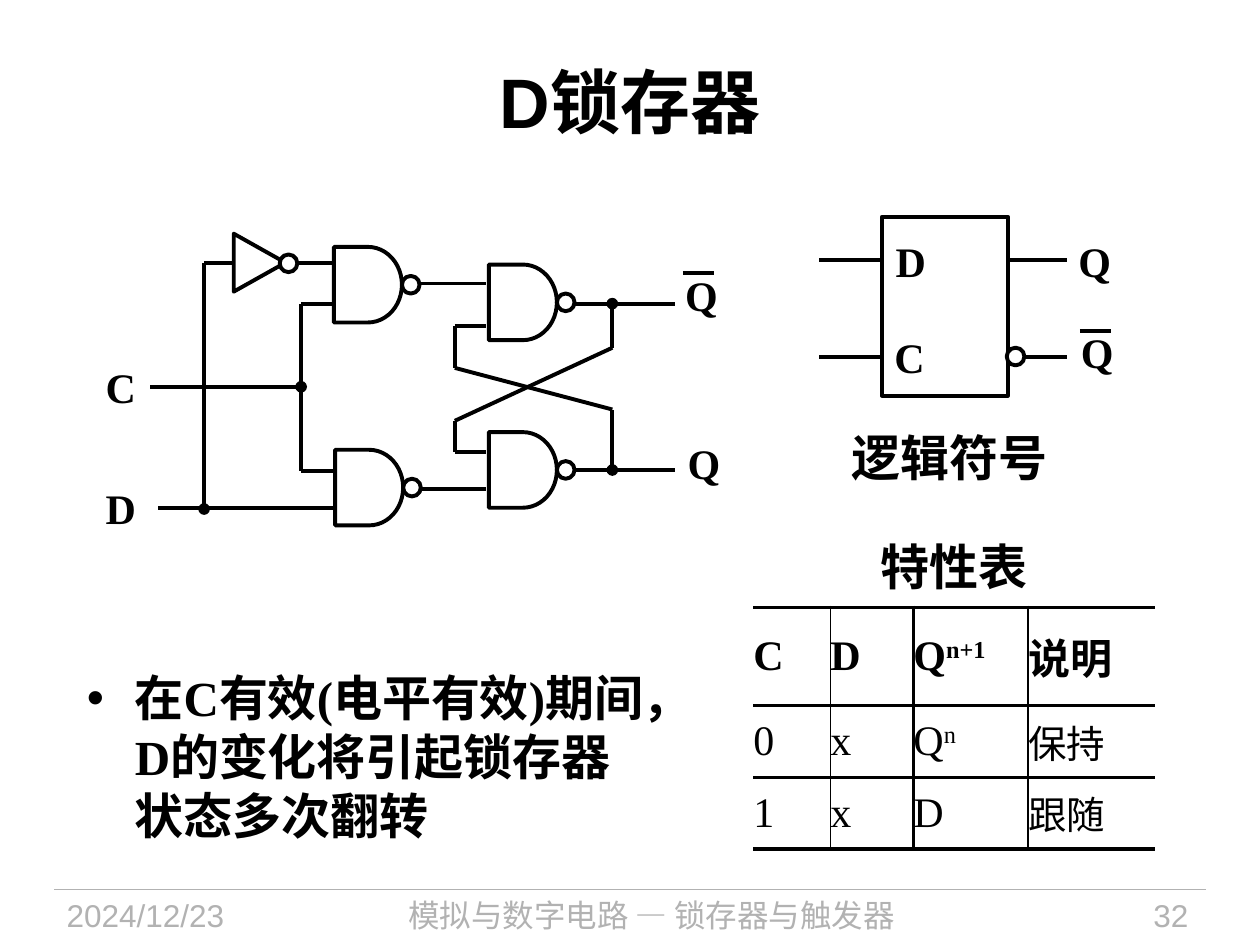
import pptx
import pptx.util
import pptx.dml.color
import pptx.enum.shapes
import pptx.enum.text
import pptx.oxml
import pptx.oxml.ns
from lxml import etree

Inches, Pt = pptx.util.Inches, pptx.util.Pt
Shape = pptx.enum.shapes.MSO_SHAPE
Align = pptx.enum.text.PP_ALIGN
Anchor = pptx.enum.text.MSO_ANCHOR
qn = pptx.oxml.ns.qn


class Theme:
    ink = pptx.dml.color.RGBColor(0, 0, 0)
    gray = pptx.dml.color.RGBColor(0xB2, 0xB2, 0xB2)
    paper = pptx.dml.color.RGBColor(255, 255, 255)
    rule = 2.25
    thin = 1
    bubble = 0.14
    han = "Noto Sans CJK SC"
    title = dict(name="Arial", size=Pt(40), bold=True)
    body = dict(name="Times New Roman", size=Pt(28), bold=True)
    name = dict(name="Arial", size=Pt(28), bold=True)
    label = dict(name="Times New Roman", size=Pt(24), bold=True)
    cell = dict(name="Times New Roman", size=Pt(24), bold=False)
    note = dict(name="Times New Roman", size=Pt(22), bold=False)
    foot = dict(name="Arial", size=Pt(18), bold=False)


# Text
def style(run, form, color=Theme.ink):
    for key, value in form.items():
        setattr(run.font, key, value)
    run.font.color.rgb = color
    latin = run.font._element.find(qn("a:latin"))
    east = etree.Element(qn("a:ea"), typeface=Theme.han)
    latin.addnext(east)


def write(para, text, form, color=Theme.ink):
    run = para.add_run()
    run.text = text
    style(run, form, color)
    return run


def label(host, text, box, form=Theme.label, color=Theme.ink,
          align=Align.LEFT, wrap=False):
    frame = host.add_textbox(*map(Inches, box)).text_frame
    frame.word_wrap = wrap
    para = frame.paragraphs[0]
    para.alignment = align
    write(para, text, form, color)


def fill_holder(holder, text, box, form, anchor, align):
    holder.left, holder.top, holder.width, holder.height = map(Inches, box)
    frame = holder.text_frame
    frame.auto_size = pptx.enum.text.MSO_AUTO_SIZE.NONE
    frame.vertical_anchor = anchor
    para = frame.paragraphs[0]
    para.alignment = align
    para.space_before = Pt(0)
    write(para, text, form)
    return para


# Lines and shapes
def line(host, start, end, color=Theme.ink, width=Theme.rule, dot=False):
    wire = host.add_connector(pptx.enum.shapes.MSO_CONNECTOR.STRAIGHT,
                              *map(Inches, start + end))
    wire.line.color.rgb = color
    wire.line.width = Pt(width)
    if dot:
        etree.SubElement(wire.line._get_or_add_ln(), qn("a:headEnd"), type="oval")
    etree.SubElement(wire._element.spPr, qn("a:effectLst"))


def route(host, *points, dot=False):
    for i, (start, end) in enumerate(zip(points, points[1:])):
        line(host, start, end, dot=dot and i == 0)


def shape(host, kind, box, fill=True):
    item = host.add_shape(kind, *map(Inches, box))
    item.shadow.inherit = False
    if fill:
        item.fill.solid()
        item.fill.fore_color.rgb = Theme.paper
    else:
        item.fill.background()
    item.line.color.rgb = Theme.ink
    item.line.width = Pt(Theme.rule)
    return item


def bubble(host, left, mid):
    size = Theme.bubble
    shape(host, Shape.OVAL, (left, mid - size / 2, size, size))


def gate(host, left, mid):
    wide, high = 0.54, 0.6
    shape(host, Shape.FLOWCHART_DELAY, (left, mid - high / 2, wide, high))
    bubble(host, left + wide, mid)


# Table
def edge(props, side, width):
    rim = etree.SubElement(props, qn("a:" + side), w=str(Pt(width)))
    if width:
        fill = etree.SubElement(rim, qn("a:solidFill"))
        etree.SubElement(fill, qn("a:srgbClr"), val=str(Theme.ink))
    else:
        etree.SubElement(rim, qn("a:noFill"))


def state_table(host):
    rows = [["C", "D", ("Q", "n+1"), "说明"],
            ["0", "x", ("Q", "n"), "保持"],
            ["1", "x", "D", "跟随"]]
    wides, highs = [0.61, 0.66, 0.91, 1.01], [0.78, 0.57, 0.57]
    rules = [0, Theme.thin, Theme.rule, Theme.thin, 0]
    table = host.add_table(len(rows), len(wides), *map(
        Inches, (5.98, 4.82, sum(wides), sum(highs)))).table
    table.first_row = table.horz_banding = False
    for col, wide in zip(table.columns, wides):
        col.width = Inches(wide)
    for r, (row, high) in enumerate(zip(rows, highs)):
        table.rows[r].height = Inches(high)
        for c, text in enumerate(row):
            cell = table.cell(r, c)
            for side in ("left", "right", "top", "bottom"):
                setattr(cell, "margin_" + side, 0)
            cell.vertical_anchor = Anchor.MIDDLE
            props = cell._tc.get_or_add_tcPr()
            for side, width in zip(("lnL", "lnR", "lnT", "lnB"),
                                   (rules[c], rules[c + 1], Theme.rule, Theme.rule)):
                edge(props, side, width)
            cell.fill.background()
            para = cell.text_frame.paragraphs[0]
            para.space_after = Pt(5)
            form = Theme.label if r == 0 else Theme.note if c == 3 else Theme.cell
            base, *power = text if isinstance(text, tuple) else (text,)
            write(para, base, form)
            for part in power:
                run = write(para, part, form)
                run.font._element.set("baseline", "30000")


# Circuit
def circuit(host):
    route(host, (4.44, 2.41), (5.36, 2.41))
    route(host, (4.44, 3.73), (5.36, 3.73))
    route(host, (2.66, 2.41), (2.39, 2.41), (2.39, 3.74), (2.67, 3.74))
    route(host, (2.67, 4.03), (1.25, 4.03))
    route(host, (2.39, 3.07), (1.19, 3.07), dot=True)
    route(host, (1.62, 4.04), (1.62, 2.09), (2.71, 2.09), dot=True)
    route(host, (3.03, 2.25), (3.86, 2.25))
    route(host, (3.03, 3.88), (3.86, 3.88))
    # Crossed feedback
    route(host, (4.86, 2.41), (4.86, 2.76), (3.61, 3.34), (3.61, 3.59),
          (3.86, 3.59), dot=True)
    route(host, (4.86, 3.73), (4.86, 3.25), (3.61, 2.92), (3.61, 2.59),
          (3.86, 2.59), dot=True)
    for spot in ((3.88, 2.4), (3.88, 3.73), (2.65, 2.26), (2.66, 3.87)):
        gate(host, *spot)
    # Inverter
    shape(host, Shape.ISOSCELES_TRIANGLE, (1.83, 1.88, 0.46, 0.41)).rotation = 90
    bubble(host, 2.22, 2.09)
    for text, left, top in (("D", 0.74, 3.78), ("C", 0.74, 2.82),
                            ("Q", 5.34, 2.09), ("Q", 5.36, 3.42)):
        label(host, text, (left, top, 0.46, 0.5))
    line(host, (5.42, 2.17), (5.67, 2.17))


# Logic symbol
def symbol(host):
    shape(host, Shape.RECTANGLE, (7, 1.72, 1, 1.42), fill=False)
    for high in (2.06, 2.83):
        line(host, (7, high), (6.5, high))
    line(host, (8, 2.06), (8.47, 2.06))
    line(host, (8.08, 2.83), (8.47, 2.83))
    bubble(host, 7.99, 2.83)
    for text, left, top in (("D", 7.01, 1.82), ("C", 7, 2.58),
                            ("Q", 8.46, 1.82), ("Q", 8.48, 2.54)):
        label(host, text, (left, top, 0.46, 0.5))
    line(host, (8.57, 2.63), (8.82, 2.63))


# Footer
def footer(host):
    line(host, (0.43, 7.06), (9.57, 7.06), Theme.gray, 0.75)
    for text, left, wide, align in (
            ("2024/12/23", 0.43, 1.88, Align.LEFT),
            ("模拟与数字电路 — 锁存器与触发器", 2.49, 5.36, Align.CENTER),
            ("32", 8.2, 1.33, Align.RIGHT)):
        label(host, text, (left, 7.06, wide, 0.44), Theme.foot, Theme.gray, align, True)


def main():
    deck = pptx.Presentation()
    deck.slide_width, deck.slide_height = Inches(10), Inches(7.5)
    slide = deck.slides.add_slide(deck.slide_layouts[1])
    host = slide.shapes
    footer(host)
    fill_holder(host.title, "D锁存器", (0.5, 0.17, 9, 1.25), Theme.title,
                Anchor.MIDDLE, Align.CENTER)
    para = fill_holder(slide.placeholders[1],
                       "在C有效(电平有效)期间，D的变化将引起锁存器状态多次翻转",
                       (0.59, 5.25, 4.62, 1.65), Theme.body, Anchor.TOP, Align.LEFT)
    props = para._p.get_or_add_pPr()
    props.set("marL", str(Inches(0.38)))
    props.set("indent", str(Inches(-0.38)))
    circuit(host)
    symbol(host.add_group_shape().shapes)
    label(host, "逻辑符号", (6.66, 3.34, 1.87, 0.57), Theme.name, wrap=True)
    label(host, "特性表", (6.89, 4.21, 1.37, 0.57), Theme.body)
    state_table(host)
    deck.save("out.pptx")


if __name__ == "__main__":
    main()
